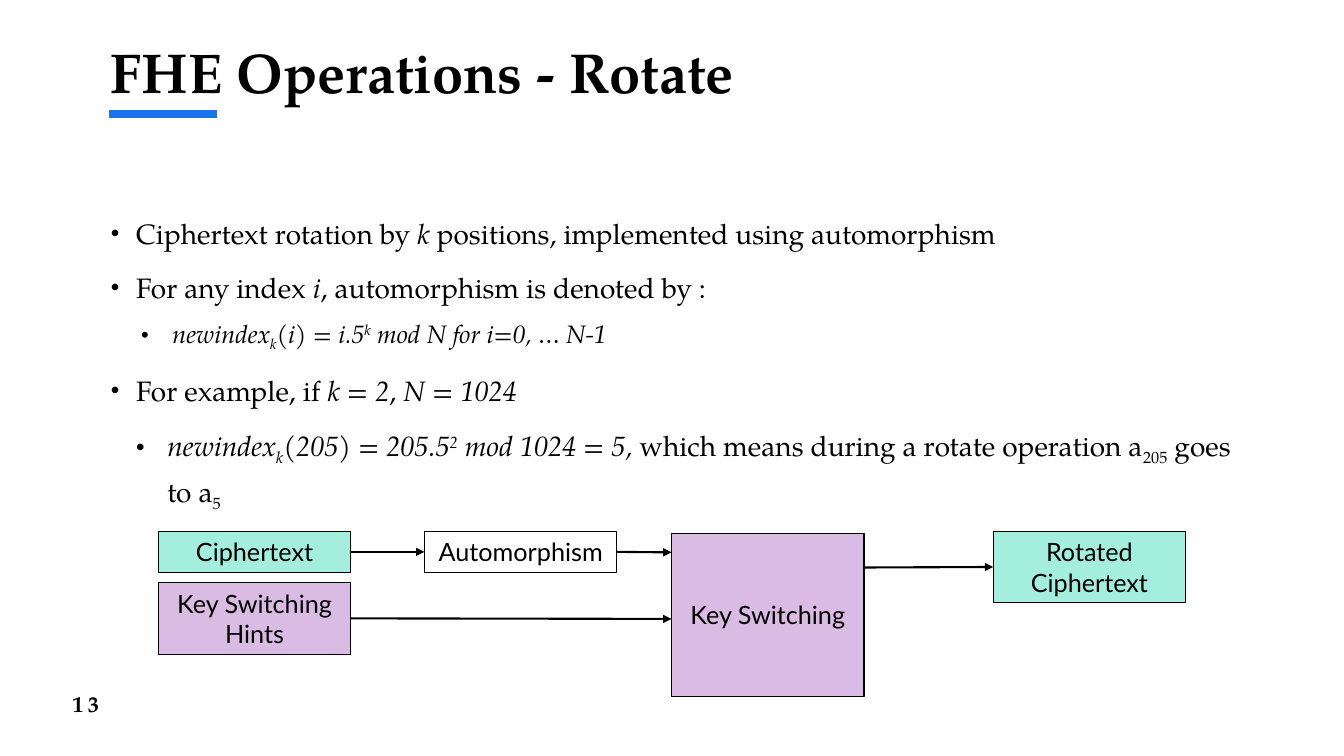
from lxml.etree import SubElement
from pptx import Presentation
from pptx.dml.color import RGBColor
from pptx.enum.shapes import MSO_CONNECTOR, MSO_SHAPE
from pptx.enum.text import MSO_ANCHOR, MSO_AUTO_SIZE, PP_ALIGN
from pptx.oxml.ns import qn
from pptx.util import Inches, Pt

SERIF = "TeX Gyre Pagella"
SANS = "Lato"
BLACK, BLUE, MINT, LILAC = "000000", "1973EB", "A3EEDC", "D9BBE3"
BOX_WIDTH = 1.91
LOW, HIGH = -25000, 30000
RIGHT_SIDE, LEFT_SIDE = 3, 1

BULLETS = [
    (0, 0.25, -0.25, 20, 0, [
        ("Ciphertext rotation by ", False, 0), ("k", True, 0),
        (" positions, implemented using automorphism", False, 0)]),
    (0, 0.25, -0.25, 20, 10, [
        ("For any index ", False, 0), ("i", True, 0),
        (", automorphism is denoted by :", False, 0)]),
    (1, 0.61, -0.31, 18, 5, [
        ("newindex", True, 0), ("k", True, LOW), ("(i) = i.5", True, 0),
        ("k", True, HIGH), (" mod N for i=0, … N-1", True, 0)]),
    (0, 0.25, -0.25, 20, 10, [
        ("For example, if ", False, 0), ("k = 2", True, 0),
        (", ", False, 0), ("N = 1024", True, 0)]),
    (0, 0.56, -0.31, 20, 10, [
        ("newindex", True, 0), ("k", True, LOW), ("(205) = 205.5", True, 0),
        ("2", True, HIGH), (" mod 1024 = 5, ", True, 0),
        ("which means during a rotate operation a", False, 0),
        ("205", False, LOW), (" goes to a", False, 0), ("5", False, LOW)]),
]


def color(value):
    return RGBColor.from_string(value)


def place(shape, left, top, width, height):
    shape.left, shape.top = Inches(left), Inches(top)
    shape.width, shape.height = Inches(width), Inches(height)


def set_font(paragraph, name, size, bold=False):
    paragraph.font.name = name
    paragraph.font.size = Pt(size)
    paragraph.font.bold = bold
    paragraph.font.color.rgb = color(BLACK)


def set_bullet(paragraph, indent, hanging):
    properties = paragraph._p.get_or_add_pPr()
    properties.set("marL", str(Inches(indent)))
    properties.set("indent", str(Inches(hanging)))
    SubElement(properties, qn("a:buSzPct"), val="87000")
    SubElement(properties, qn("a:buFont"), typeface="Arial")
    SubElement(properties, qn("a:buChar"), char="•")


def add_title(slide, text):
    title = slide.shapes.title
    place(title, 1, 0.32, 11.33, 1.44)
    frame = title.text_frame
    frame.text = text
    frame.auto_size = MSO_AUTO_SIZE.NONE
    frame.vertical_anchor = MSO_ANCHOR.TOP
    paragraph = frame.paragraphs[0]
    paragraph.alignment = PP_ALIGN.LEFT
    set_font(paragraph, SERIF, 40, bold=True)


def add_bullets(slide):
    body = slide.placeholders[1]
    place(body, 1, 2.03, 11.33, 3.38)
    frame = body.text_frame
    frame.auto_size = MSO_AUTO_SIZE.NONE
    frame.vertical_anchor = MSO_ANCHOR.TOP
    for number, (level, indent, hanging, size, before, runs) in enumerate(BULLETS):
        paragraph = frame.add_paragraph() if number else frame.paragraphs[0]
        paragraph.level = level
        set_bullet(paragraph, indent, hanging)
        paragraph.line_spacing = 1.2
        paragraph.space_before = Pt(before)
        paragraph.space_after = Pt(0)
        set_font(paragraph, SERIF, size)
        for text, italic, baseline in runs:
            run = paragraph.add_run()
            run.text = text
            run.font.italic = italic
            if baseline:
                run.font._element.set("baseline", str(baseline))


def add_page_number(slide, number):
    box = slide.shapes.add_textbox(Inches(0.29), Inches(6.78), Inches(0.79), Inches(0.4))
    frame = box.text_frame
    frame.word_wrap = True
    frame.vertical_anchor = MSO_ANCHOR.MIDDLE
    paragraph = frame.paragraphs[0]
    paragraph.alignment = PP_ALIGN.RIGHT
    set_font(paragraph, SERIF, 16, bold=True)
    run = paragraph.add_run()
    run.text = number
    run.font._element.set("spc", "300")


def add_box(slide, text, left, top, height, fill=None):
    shape = slide.shapes.add_shape(
        MSO_SHAPE.RECTANGLE, Inches(left), Inches(top), Inches(BOX_WIDTH), Inches(height))
    shape.shadow.inherit = False
    if fill:
        shape.fill.solid()
        shape.fill.fore_color.rgb = color(fill)
    else:
        shape.fill.background()
    shape.line.color.rgb = color(BLACK)
    shape.line.width = Pt(0.75)
    frame = shape.text_frame
    frame.word_wrap = True
    frame.vertical_anchor = MSO_ANCHOR.MIDDLE
    frame.text = text
    paragraph = frame.paragraphs[0]
    paragraph.alignment = PP_ALIGN.CENTER
    set_font(paragraph, SANS, 18)
    return shape


def add_line(slide, start, end, line_color, width):
    line = slide.shapes.add_connector(
        MSO_CONNECTOR.STRAIGHT, *[Inches(value) for value in start + end])
    line.line.color.rgb = color(line_color)
    line.line.width = Pt(width)
    SubElement(line._element.spPr, qn("a:effectLst"))
    return line


def add_arrow(slide, start, end, source=None, target=None):
    arrow = add_line(slide, start, end, BLACK, 1.5)
    SubElement(arrow.line._get_or_add_ln(), qn("a:tailEnd"), type="triangle")
    if source:
        arrow.begin_connect(source, RIGHT_SIDE)
    if target:
        arrow.end_connect(target, LEFT_SIDE)


def add_flow(slide):
    hints = add_box(slide, "Key Switching Hints", 1.57, 5.78, 0.71, LILAC)
    ciphertext = add_box(slide, "Ciphertext", 1.57, 5.27, 0.41, MINT)
    add_box(slide, "Key Switching", 6.66, 5.29, 1.62, LILAC)
    automorphism = add_box(slide, "Automorphism", 4.21, 5.27, 0.41)
    rotated = add_box(slide, "Rotated Ciphertext", 9.85, 5.27, 0.71, MINT)
    add_arrow(slide, (3.48, 6.13), (6.66, 6.14), source=hints)
    add_arrow(slide, (3.48, 5.48), (4.21, 5.48), ciphertext, automorphism)
    add_arrow(slide, (6.12, 5.48), (6.66, 5.48), source=automorphism)
    add_arrow(slide, (8.57, 5.63), (9.85, 5.63), target=rotated)


def main():
    presentation = Presentation()
    presentation.slide_width = Inches(13.33)
    presentation.slide_height = Inches(7.5)
    slide = presentation.slides.add_slide(presentation.slide_layouts[1])
    add_line(slide, (1.08, 1.13), (2.15, 1.13), BLUE, 6)
    add_title(slide, "FHE Operations - Rotate")
    add_bullets(slide)
    add_page_number(slide, "13")
    add_flow(slide)
    presentation.save("out.pptx")


if __name__ == "__main__":
    main()
